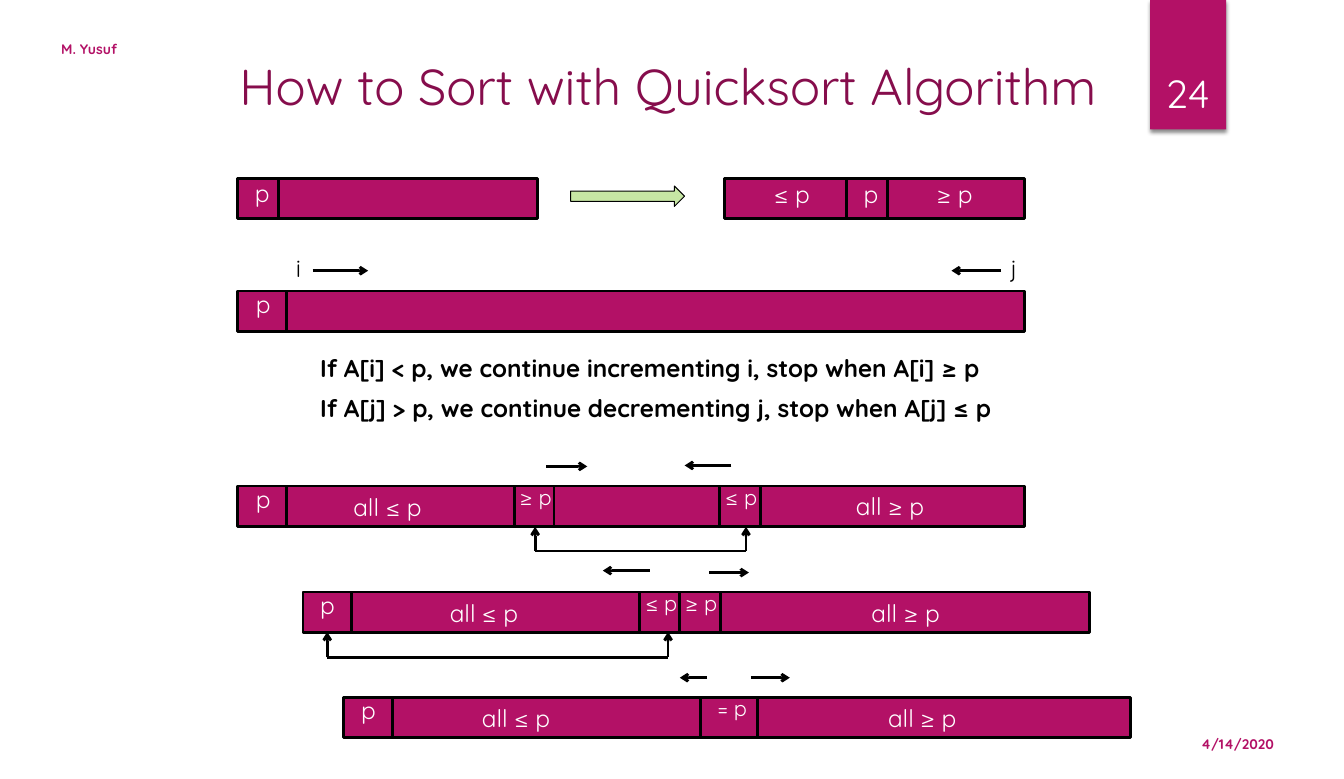
from lxml.etree import SubElement
from pptx import Presentation
from pptx.dml.color import RGBColor as RGB
from pptx.enum.shapes import MSO_CONNECTOR as CONN, MSO_SHAPE as SHAPE
from pptx.enum.text import MSO_ANCHOR as ANCHOR, MSO_AUTO_SIZE as FIT, PP_ALIGN as ALIGN
from pptx.oxml.ns import qn
from pptx.util import Inches, Pt

COLORS = {"pink": "B31166", "plum": "860D4C", "green": "C7E6A4",
          "black": "000000", "white": "FFFFFF"}
COLS, ROWS = 138, 80
BAR_H = 4.15
LABELS = {"pivot": (3.7, 4, 18), "wide": (5.8, 4, 18),
          "small": (5.4, 3.7, 16), "all": (10, 4, 18)}


class Deck:
    font = "Quicksand"

    def __init__(self):
        self.prs = Presentation()
        self.prs.slide_width, self.prs.slide_height = Inches(13.8), Inches(8)
        self.s = self.prs.slides.add_slide(self.prs.slide_layouts[5])

    def at(self, *lengths):
        units = (self.prs.slide_width / COLS, self.prs.slide_height / ROWS)
        return [round(n * units[i % 2]) for i, n in enumerate(lengths)]

    def run(self, tf, text, size, color, bold=False, align=ALIGN.LEFT, anchor=ANCHOR.TOP):
        tf.vertical_anchor = anchor
        p = tf.paragraphs[0]
        p.alignment = align
        r = p.add_run()
        r.text = text
        r.font.name, r.font.size, r.font.bold = self.font, Pt(size), bold
        r.font.color.rgb = RGB.from_string(COLORS[color])

    def title(self, text, box):
        sp = self.s.shapes.title
        sp.left, sp.top, sp.width, sp.height = self.at(*box)
        sp.text_frame.auto_size = FIT.NONE
        self.run(sp.text_frame, text, 37.3, "plum", align=ALIGN.CENTER, anchor=ANCHOR.MIDDLE)

    def text(self, text, box, size=18, color="black", wrap=False, **style):
        tf = self.s.shapes.add_textbox(*self.at(*box)).text_frame
        tf.word_wrap = wrap
        tf.auto_size = FIT.NONE if wrap else FIT.SHAPE_TO_FIT_TEXT
        self.run(tf, text, size, color, **style)

    def shape(self, kind, box, fill, line=None):
        sp = self.s.shapes.add_shape(kind, *self.at(*box))
        sp.shadow.inherit = False
        sp.fill.solid()
        sp.fill.fore_color.rgb = RGB.from_string(COLORS[fill])
        if line:
            sp.line.color.rgb = RGB.from_string(COLORS["black"])
            sp.line.width = Pt(line)
        else:
            sp.line.fill.background()
        return sp

    def tab(self, box):
        sp = self.shape(SHAPE.RECTANGLE, box, "pink")
        effects = sp._element.spPr.find(qn("a:effectLst"))
        shadow = SubElement(effects, qn("a:outerShdw"), blurRad=str(Pt(3)),
                            dist=str(Pt(2)), dir="5400000", rotWithShape="0")
        color = SubElement(shadow, qn("a:srgbClr"), val=COLORS["black"])
        SubElement(color, qn("a:alpha"), val="45000")

    def line(self, x1, y1, x2, y2, arrow=False):
        cn = self.s.shapes.add_connector(CONN.STRAIGHT, *self.at(x1, y1, x2, y2))
        cn.line.color.rgb = RGB.from_string(COLORS["black"])
        cn.line.width = Pt(2)
        if arrow:
            SubElement(cn._element.spPr.find(qn("a:ln")), qn("a:tailEnd"), type="arrow")
        SubElement(cn._element.spPr, qn("a:effectLst"))

    def bar(self, left, top, width, dividers, labels):
        self.shape(SHAPE.RECTANGLE, (left, top, width, BAR_H), "pink", 2)
        for x in dividers:
            self.line(x, top, x, top + BAR_H)
        for text, kind, x, y in labels:
            w, h, size = LABELS[kind]
            self.text(text, (x, y, w, h), size, "white")

    def bracket(self, left, right, top, bottom):
        self.line(left, bottom, left, top, arrow=True)
        self.line(left, bottom, right, bottom)
        self.line(right, bottom, right, top, arrow=True)


BARS = [
    (24.4, 18.3, 30.8, [28.6], [("p", "pivot", 25.2, 17.8)]),
    (74.4, 18.3, 30.8, [86.9, 91.1],
     [("≤ p", "wide", 78.5, 17.9), ("p", "pivot", 87.7, 17.9), ("≥ p", "wide", 95.2, 17.9)]),
    (24.4, 29.9, 80.8, [29.4], [("p", "pivot", 25.3, 29.2)]),
    (24.4, 49.9, 80.8, [29.4, 52.8, 56.9, 73.9, 78.1],
     [("p", "pivot", 25.3, 49.2), ("all ≤ p", "all", 35.3, 50.1),
      ("≥ p", "small", 52.4, 49.2), ("≤ p", "small", 73.5, 49.2),
      ("all ≥ p", "all", 86.9, 49.9)]),
    (31.1, 60.8, 80.8, [36.1, 65.7, 69.8, 74],
     [("p", "pivot", 31.9, 60.1), ("all ≤ p", "all", 45.2, 60.9),
      ("≤ p", "small", 65.3, 60.1), ("≥ p", "small", 69.4, 60.1),
      ("all ≥ p", "all", 88.5, 60.9)]),
    (35.3, 71.6, 80.8, [40.3, 71.9, 77.8],
     [("p", "pivot", 36.1, 70.9), ("all ≤ p", "all", 48.5, 71.7),
      ("= p", "small", 72.7, 70.9), ("all ≥ p", "all", 90.2, 71.7)]),
]
ARROWS = [(32.1, 37.8, 27.8), (102.8, 97.7, 27.8), (56.1, 60.3, 47.9), (75.1, 70.3, 47.8),
          (72.8, 76.9, 58.8), (66.7, 61.9, 58.6), (77.1, 81.1, 69.6), (72.6, 69.8, 69.6)]
BRACKETS = [(54.95, 76.6, 54.1, 56.6), (33.6, 68.6, 64.9, 67.5)]
NOTES = [("i", (29.4, 25.5, 2.7, 4), False),
         ("j", (102.8, 25.5, 3, 4), False),
         ("If A[i] < p, we continue incrementing i, stop when A[i] ≥ p",
          (31.9, 35.8, 71.4, 4), True),
         ("If A[j] > p, we continue decrementing j, stop when A[j] ≤ p",
          (31.9, 39.9, 72.7, 4), True)]


def main():
    deck = Deck()
    deck.tab((118.1, 0, 7.8, 13.3))
    deck.title("How to Sort with Quicksort Algorithm", (-0.4, 4.7, 138, 8.2))
    deck.text("24", (117.2, 3.4, 9.5, 9), 29, "white", wrap=True,
              align=ALIGN.CENTER, anchor=ANCHOR.BOTTOM)
    deck.text("M. Yusuf", (5.3, 3.2, 43.7, 3.6), 10.3, "pink", wrap=True,
              bold=True, anchor=ANCHOR.MIDDLE)
    deck.text("4/14/2020", (120.6, 74.6, 11.2, 3.6), 10.3, "pink", wrap=True,
              bold=True, align=ALIGN.RIGHT, anchor=ANCHOR.MIDDLE)
    for bar in BARS:
        deck.bar(*bar)
    deck.shape(SHAPE.RIGHT_ARROW, (58.6, 19.1, 11.7, 2.1), "green", 0.75)
    for start, end, y in ARROWS:
        deck.line(start, y, end, y, arrow=True)
    for bracket in BRACKETS:
        deck.bracket(*bracket)
    for text, box, bold in NOTES:
        deck.text(text, box, bold=bold)
    deck.prs.save("out.pptx")


if __name__ == "__main__":
    main()
